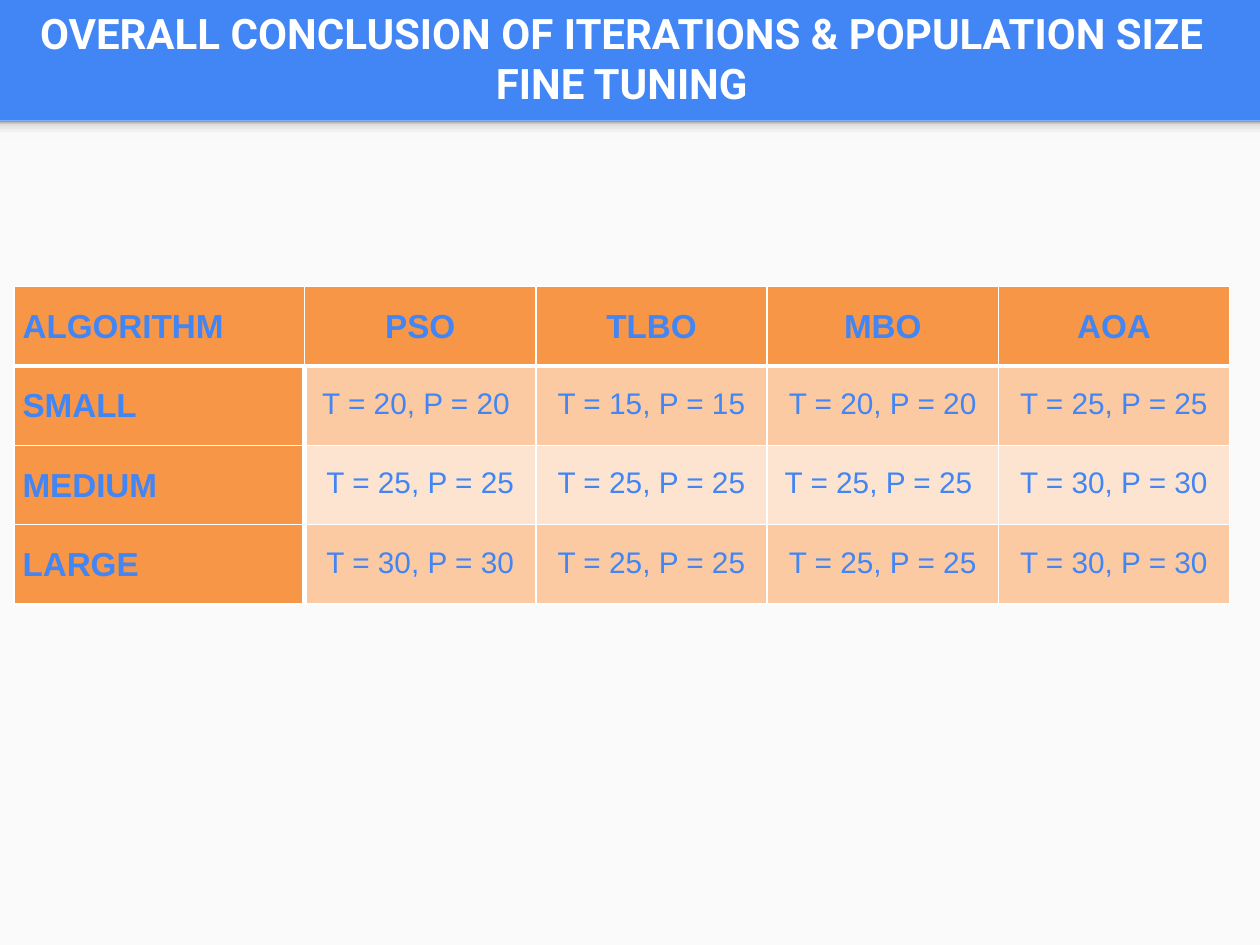
"""Build the slide on tuned iterations and population sizes."""
import copy

import pptx
import pptx.dml.color
import pptx.enum.shapes
import pptx.enum.text
import pptx.oxml
import pptx.oxml.ns
import pptx.util

Pt = pptx.util.Pt
ALIGN = pptx.enum.text.PP_ALIGN


def color(code):
    """Turn a hex string into a colour."""
    return pptx.dml.color.RGBColor.from_string(code)


def write(frame, text, size, hue, font="Arial", bold=False, align=ALIGN.CENTER,
          line=None, before=0, inset=(7.2, 7.2)):
    """Write one formatted paragraph into a shape or a table cell."""
    frame.margin_left = frame.margin_right = Pt(inset[0])
    frame.margin_top = frame.margin_bottom = Pt(inset[1])
    para = getattr(frame, "text_frame", frame).paragraphs[0]
    para.alignment, para.line_spacing, para.space_before = align, line, Pt(before)
    run = para.add_run()
    run.text = text
    run.font.name, run.font.size, run.font.bold = font, Pt(size), bold
    run.font.color.rgb = color(hue)


deck = pptx.Presentation()
deck.slide_width, deck.slide_height = Pt(720), Pt(540)
slide = deck.slides.add_slide(deck.slide_layouts[5])
slide.background.fill.solid()
slide.background.fill.fore_color.rgb = color("4285F4")

rect = pptx.enum.shapes.MSO_SHAPE.RECTANGLE
body = slide.shapes.add_shape(rect, 0, Pt(69), Pt(720), Pt(471))
body.fill.solid()
body.fill.fore_color.rgb = color("FAFAFA")
shade = slide.shapes.add_shape(rect, 0, Pt(69), Pt(720), Pt(11.5))
for shape in (body, shade):
    shape.shadow.inherit = False
    shape.line.fill.background()

shade.fill.gradient()
shade.fill.gradient_angle = 90
stops = shade.element.find(".//" + pptx.oxml.ns.qn("a:gsLst"))
for stop in list(stops):
    stops.append(copy.deepcopy(stop))
ramp = [(0, "F9F9F9"), (0.36, "F9F9F9"), (0.8, "DEDEDE"), (1, "999999")]
for stop, (place, hue) in zip(shade.fill.gradient_stops, ramp):
    stop.position = place
    stop.color.rgb = color(hue)

title = slide.shapes.title
title.left, title.top, title.width, title.height = Pt(7.92), Pt(1.44), Pt(694.8), Pt(63.36)
frame = title.text_frame
frame.word_wrap = True
frame.auto_size = pptx.enum.text.MSO_AUTO_SIZE.NONE
frame.vertical_anchor = pptx.enum.text.MSO_ANCHOR.MIDDLE
write(frame, "OVERALL CONCLUSION OF ITERATIONS & POPULATION SIZE FINE TUNING",
      24, "FFFFFF", font="Roboto", bold=True)

rows = [
    ["ALGORITHM", "PSO", "TLBO", "MBO", "AOA"],
    ["SMALL", "T = 20, P = 20 ", "T = 15, P = 15", "T = 20, P = 20", "T = 25, P = 25"],
    ["MEDIUM", "T = 25, P = 25", "T = 25, P = 25", "T = 25, P = 25 ", "T = 30, P = 30"],
    ["LARGE", "T = 30, P = 30", "T = 25, P = 25", "T = 25, P = 25", "T = 30, P = 30"],
]
table = slide.shapes.add_table(4, 5, Pt(7.92), Pt(163.7), Pt(694.8), Pt(181.6)).table
for num, col in enumerate(table.columns):
    col.width = Pt(132.15 if num else 166.2)
for r, row in enumerate(rows):
    table.rows[r].height = Pt(45.4)
    for c, text in enumerate(row):
        cell = table.cell(r, c)
        head = r == 0 or c == 0
        write(cell, text, 19 if head else 17, "4285F4", bold=head,
              align=ALIGN.CENTER if c else ALIGN.LEFT, line=1.15, before=18,
              inset=(5, 9.4))
        cell.fill.solid()
        cell.fill.fore_color.rgb = color("F79646" if head else "FBCAA2" if r % 2 else "FDE4D0")
        thick = {"L": r > 0 and c == 1, "R": r > 0 and c == 0, "T": r == 1, "B": r == 0}
        for spot, (side, wide) in enumerate(thick.items()):
            edge = pptx.oxml.parse_xml(
                f'<a:ln{side} {pptx.oxml.ns.nsdecls("a")} w="{Pt(3 if wide else 1)}">'
                f'<a:solidFill><a:srgbClr val="FFFFFF"/></a:solidFill></a:ln{side}>')
            cell._tc.get_or_add_tcPr().insert(spot, edge)

deck.save("out.pptx")
